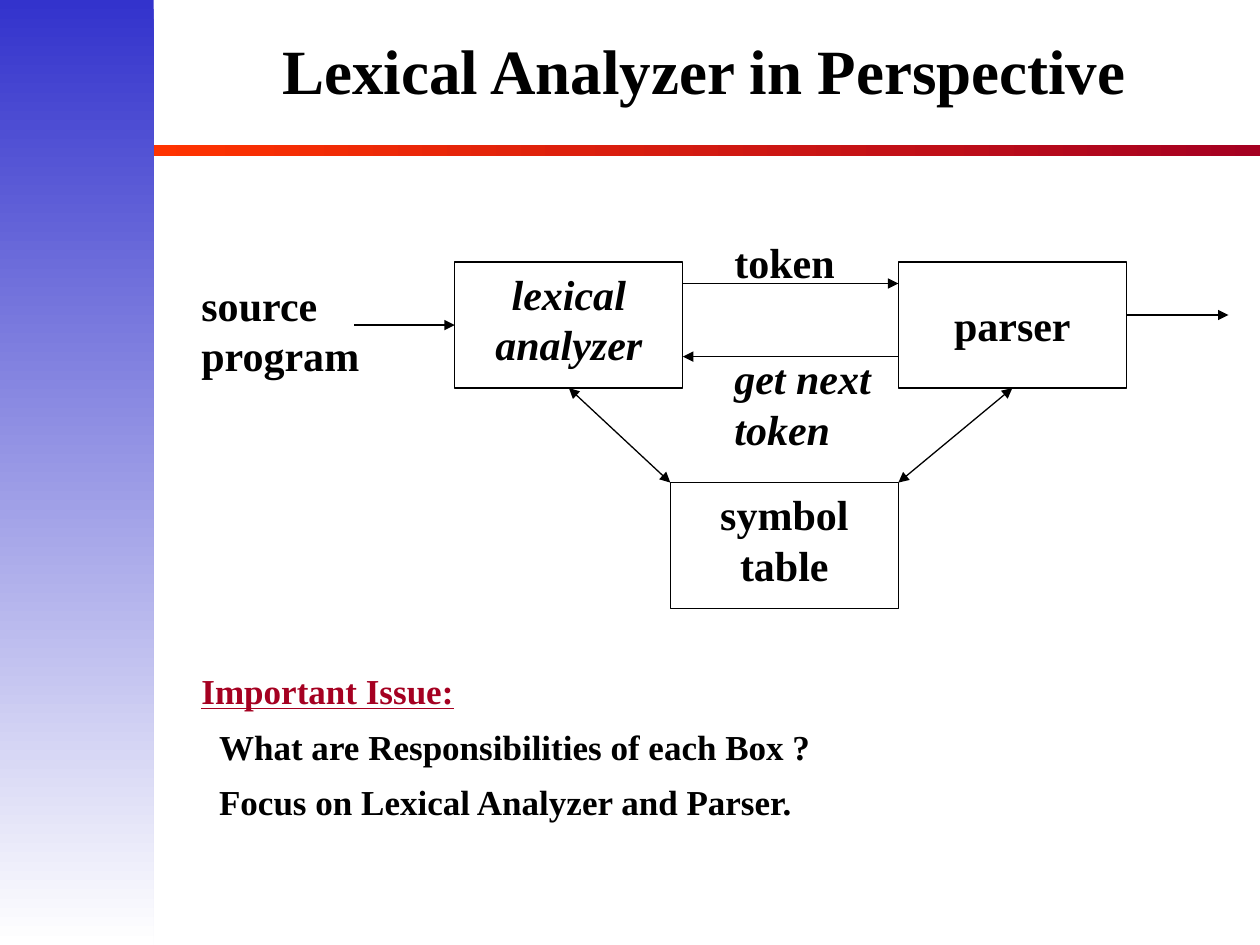
from lxml.etree import SubElement
from pptx import Presentation
from pptx.dml.color import RGBColor
from pptx.enum.shapes import MSO_CONNECTOR, MSO_SHAPE
from pptx.enum.text import MSO_ANCHOR, PP_ALIGN
from pptx.oxml.ns import qn
from pptx.util import Inches, Pt

BLACK = "000000"
RED = "A50021"
BOX_WIDTH, BOX_HEIGHT = 1.81, 1
BOTTOM, LEFT = 2, 1
LABEL = {"size": Pt(24)}
ITALIC_LABEL = {**LABEL, "italic": True}


def color(hex_string):
    return RGBColor.from_string(hex_string)


def write(paragraph, text, font_format, font_color=BLACK):
    paragraph.text = text
    font = paragraph.font
    for name, value in {"name": "Times New Roman", "bold": True, **font_format}.items():
        setattr(font, name, value)
    font.color.rgb = color(font_color)


def add_gradient_bar(slide, left, top, width, height, start, end, angle):
    shape = slide.shapes.add_shape(
        MSO_SHAPE.RECTANGLE, Inches(left), Inches(top), Inches(width), Inches(height))
    shape.shadow.inherit = False
    shape.line.fill.background()
    shape.fill.gradient()
    shape.fill.gradient_angle = angle
    for stop, stop_color in zip(shape.fill.gradient_stops, (start, end)):
        stop.color.rgb = color(stop_color)


def add_text(slide, left, top, width, height, text, font_format):
    shape = slide.shapes.add_textbox(
        Inches(left), Inches(top), Inches(width), Inches(height))
    shape.text_frame.word_wrap = True
    paragraph = shape.text_frame.paragraphs[0]
    write(paragraph, text, font_format)
    return shape.text_frame


def add_box(slide, left, top, text, font_format, anchor=MSO_ANCHOR.TOP):
    shape = slide.shapes.add_shape(
        MSO_SHAPE.RECTANGLE, Inches(left), Inches(top),
        Inches(BOX_WIDTH), Inches(BOX_HEIGHT))
    shape.shadow.inherit = False
    shape.fill.background()
    shape.line.color.rgb = color(BLACK)
    shape.line.width = Pt(0.75)
    shape.text_frame.word_wrap = True
    shape.text_frame.vertical_anchor = anchor
    paragraph = shape.text_frame.paragraphs[0]
    paragraph.alignment = PP_ALIGN.CENTER
    write(paragraph, text, font_format)
    return shape


def add_arrow(slide, start, end, both_ends=False):
    connector = slide.shapes.add_connector(
        MSO_CONNECTOR.STRAIGHT, *(Inches(value) for value in (*start, *end)))
    connector.line.color.rgb = color(BLACK)
    connector.line.width = Pt(0.75)
    line = connector.line._get_or_add_ln()
    for tag in ("a:headEnd", "a:tailEnd") if both_ends else ("a:tailEnd",):
        SubElement(line, qn(tag), type="triangle")
    SubElement(connector._element.spPr, qn("a:effectLst"))
    return connector


def add_issue_list(slide):
    frame = add_text(slide, 1.5, 5.33, 7.58, 1.25, "Important Issue:", {})
    write(frame.paragraphs[0], "Important Issue:", {"size": Pt(20), "underline": True}, RED)
    frame.paragraphs[0].line_spacing = 0.8
    for text in ("What are Responsibilities of each Box ?",
                 "Focus on Lexical Analyzer and Parser."):
        paragraph = frame.add_paragraph()
        paragraph._p.get_or_add_pPr().set("marL", str(Inches(0.14)))
        paragraph.line_spacing = 0.8
        paragraph.space_before = Pt(12.5)
        write(paragraph, text, {"size": Pt(20)})


def main():
    presentation = Presentation()
    presentation.slide_width, presentation.slide_height = Inches(10), Inches(7.5)
    slide = presentation.slides.add_slide(presentation.slide_layouts[6])

    # Background bars and title
    add_gradient_bar(slide, 1.2, 1.15, 8.8, 0.09, "FF3300", RED, 0)
    add_gradient_bar(slide, 0, 0, 1.22, 7.5, "3333CC", "FFFFFF", 270)
    title = add_text(slide, 1.18, 0, 8.82, 1.22,
                     "Lexical Analyzer in Perspective", {"size": Pt(36)})
    title.vertical_anchor = MSO_ANCHOR.MIDDLE
    title.paragraphs[0].alignment = PP_ALIGN.CENTER
    title.paragraphs[0].line_spacing = 0.8

    # Boxes
    lexer = add_box(slide, 3.61, 2.08, "lexical analyzer", ITALIC_LABEL)
    parser = add_box(slide, 7.13, 2.08, "parser", LABEL, MSO_ANCHOR.MIDDLE)
    add_box(slide, 5.32, 3.83, "symbol table", LABEL)

    # Arrows between lexer and parser, and out of the parser
    add_arrow(slide, (5.42, 2.25), (7.13, 2.25))
    add_arrow(slide, (7.13, 2.83), (5.42, 2.83))
    add_arrow(slide, (8.94, 2.5), (9.75, 2.5))

    # Arrows that meet the middle of a box side
    source_arrow = add_arrow(slide, (2.81, 2.58), (3.61, 2.58))
    source_arrow.end_connect(lexer, LEFT)
    for corner, box, middle in ((5.32, lexer, 4.52), (7.13, parser, 8.04)):
        arrow = add_arrow(slide, (corner, 3.83), (middle, 3.08), both_ends=True)
        arrow.end_connect(box, BOTTOM)

    # Labels
    add_text(slide, 1.5, 2.17, 1.71, 0.9, "source program", LABEL)
    add_text(slide, 5.73, 1.83, 1.01, 0.5, "token", LABEL)
    add_text(slide, 5.73, 2.75, 1.31, 0.9, "get next token", ITALIC_LABEL)

    add_issue_list(slide)
    presentation.save("out.pptx")


if __name__ == "__main__":
    main()
